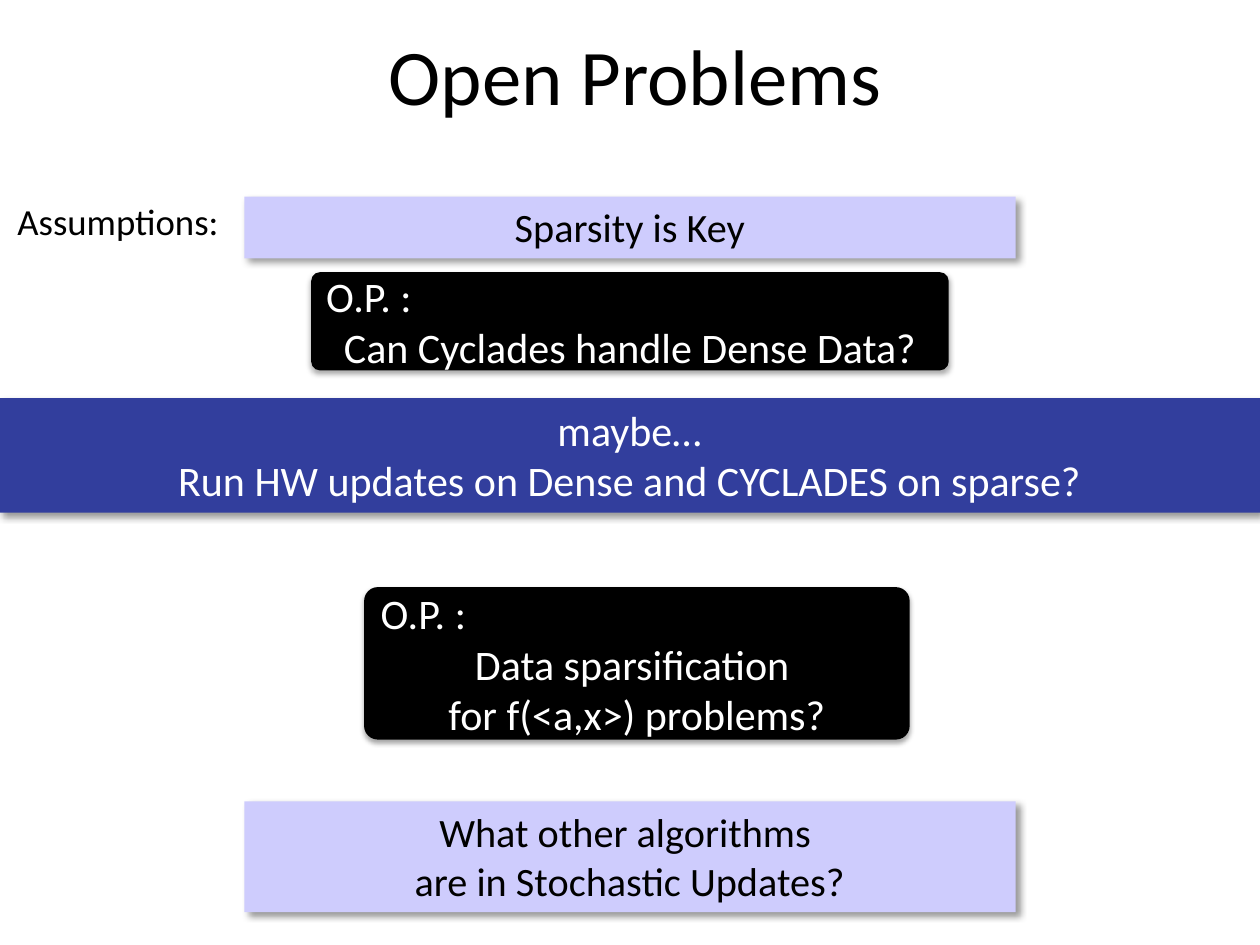
import pptx
import pptx.dml.color
import pptx.enum.shapes
import pptx.enum.text
import pptx.oxml
import pptx.oxml.ns
import pptx.util

COLS, ROWS = 100, 75
SHAPE = pptx.enum.shapes.MSO_SHAPE
ALIGN = pptx.enum.text.PP_ALIGN
ANCHOR = pptx.enum.text.MSO_ANCHOR
BLACK, WHITE, LILAC, BLUE = "000000", "FFFFFF", "CECCFD", "323E9D"


def rgb(value):
    return pptx.dml.color.RGBColor.from_string(value)


class Deck:
    """Holds the style and the current slide; lengths are grid columns and rows."""

    font = "Calibri"

    def __init__(self):
        self.prs = pptx.Presentation()
        self.prs.slide_width = pptx.util.Inches(10)
        self.prs.slide_height = pptx.util.Inches(7.5)
        self.s = self.prs.slides.add_slide(self.prs.slide_layouts[6])

    def place(self, left, top, width, height):
        col = self.prs.slide_width / COLS
        row = self.prs.slide_height / ROWS
        return [round(v) for v in (left * col, top * row, width * col, height * row)]

    def set_lines(self, sp, lines, size, color, aligns, anchor):
        tf = sp.text_frame
        tf.word_wrap = True
        tf.vertical_anchor = anchor
        tf.text = "\n".join(lines)
        for p, align in zip(tf.paragraphs, aligns):
            p.alignment = align
            for r in p.runs:
                r.font.name = self.font
                r.font.size = pptx.util.Pt(size)
                r.font.color.rgb = rgb(color)
        return tf

    def text(self, box, line, size, align=ALIGN.LEFT, anchor=ANCHOR.TOP):
        sp = self.s.shapes.add_textbox(*self.place(*box))
        return self.set_lines(sp, [line], size, BLACK, [align], anchor)

    def shadow(self, sp, alpha, blur, dist, angle):
        """Cast an outer shadow: alpha in percent, lengths in points, angle in degrees."""
        sp.shadow.inherit = False
        effects = sp._element.spPr.find(pptx.oxml.ns.qn("a:effectLst"))
        effects.append(pptx.oxml.parse_xml(
            f'<a:outerShdw {pptx.oxml.ns.nsdecls("a")} blurRad="{pptx.util.Pt(blur)}" '
            f'dist="{pptx.util.Pt(dist)}" dir="{angle * 60000}" rotWithShape="0">'
            f'<a:srgbClr val="{BLACK}"><a:alpha val="{alpha * 1000}"/></a:srgbClr>'
            '</a:outerShdw>'))

    def shape(self, kind, box, fill):
        sp = self.s.shapes.add_shape(kind, *self.place(*box))
        sp.fill.solid()
        sp.fill.fore_color.rgb = rgb(fill)
        sp.line.fill.background()
        return sp

    def banner(self, box, lines, size, fill, color):
        sp = self.shape(SHAPE.RECTANGLE, box, fill)
        self.shadow(sp, 40, 4, 3, 45)
        self.set_lines(sp, lines, size, color, [ALIGN.CENTER] * len(lines), ANCHOR.TOP)

    def problem(self, box, *lines):
        """Black rounded card: a left-aligned tag above a centred question."""
        sp = self.shape(SHAPE.ROUNDED_RECTANGLE, box, BLACK)
        sp.adjustments[0] = 0.09
        self.shadow(sp, 35, 3.1, 1.8, 90)
        aligns = [ALIGN.LEFT] + [ALIGN.CENTER] * len(lines)
        self.set_lines(sp, ["O.P. :", *lines], 24, WHITE, aligns, ANCHOR.MIDDLE)


def main():
    deck = Deck()
    deck.text((0.4, -2.2, 100, 16.1), "Open Problems", 45, ALIGN.CENTER, ANCHOR.MIDDLE)
    label = deck.text((0.4, 14.5, 99.6, 44.3), "Assumptions:", 21)
    label.margin_top = pptx.util.Inches(0.13)

    deck.banner((19.4, 15.6, 61.2, 4.9), ["Sparsity is Key"], 23, LILAC, BLACK)
    deck.banner((-0.1, 31.6, 100.1, 9.1),
                ["maybe…", "Run HW updates on Dense and CYCLADES on sparse?"],
                24, BLUE, WHITE)
    deck.problem((28.9, 46.6, 43.3, 12.1), "Data sparsification ", "for f(<a,x>) problems?")
    deck.problem((24.7, 21.6, 50.6, 7.8), "Can Cyclades handle Dense Data?")
    deck.banner((19.4, 63.6, 61.2, 8.8),
                ["What other algorithms ", "are in Stochastic Updates?"], 23, LILAC, BLACK)
    deck.prs.save("out.pptx")


if __name__ == "__main__":
    main()
